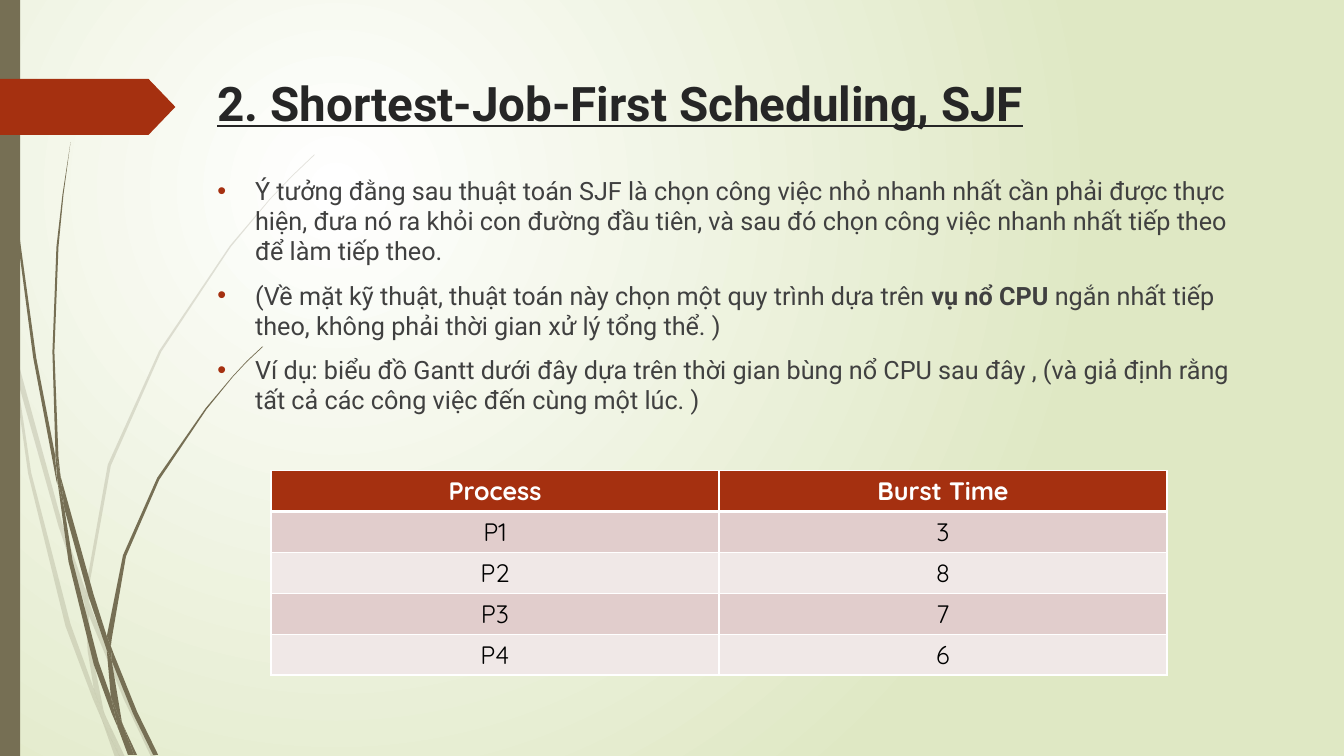
from itertools import product

from lxml.etree import SubElement
from pptx import Presentation
from pptx.dml.color import RGBColor
from pptx.enum.shapes import MSO_SHAPE
from pptx.enum.text import MSO_ANCHOR, PP_ALIGN
from pptx.oxml.ns import qn
from pptx.util import Cm, Pt

TITLE = "2. Shortest-Job-First Scheduling, SJF"
BULLETS = [
    [("Ý tưởng đằng sau thuật toán SJF là chọn công việc nhỏ nhanh nhất cần phải được thực "
      "hiện, đưa nó ra khỏi con đường đầu tiên, và sau đó chọn công việc nhanh nhất tiếp theo "
      "để làm tiếp theo.", False)],
    [("(Về mặt kỹ thuật, thuật toán này chọn một quy trình dựa trên ", False),
     ("vụ nổ CPU ", True),
     ("ngắn nhất tiếp theo, không phải thời gian xử lý tổng thể. )", False)],
    [("Ví dụ: biểu đồ Gantt dưới đây dựa trên thời gian bùng nổ CPU sau đây , (và giả định rằng "
      "tất cả các công việc đến cùng một lúc. )", False)],
]
BURST_TIMES = [("Process", "Burst Time"), ("P1", "3"), ("P2", "8"), ("P3", "7"), ("P4", "6")]

# Outlines of the grass blades: x,y corners in units of GRID
GRID = Cm(0.0254)
PALE_GRASS = [
    "11,350 9,322 0,282 0,299 10,344",
    "58,522 84,599 85,586 62,520 14,345 17,376",
    "92,607 88,596 88,610 123,694 150,751 155,751 127,692",
    "119,751 124,751 105,711",
    "93,683 70,619 31,469 17,376 11,350 28,470 65,621 92,693 101,714 99,707",
    "84,599 87,646 93,683 96,692 105,711 103,706 91,646 88,610 88,608",
    "88,584 110,462 160,349 229,245 268,198 290,175 312,154 312,153 289,175 268,197 228,244 "
    "158,348 107,461 85,584 85,586 88,596",
    "101,714 114,751 119,751",
    "88,608 88,610 88,596 85,586 84,599",
    "96,692 93,683 99,707 101,714 119,751 105,711",
]
DARK_GRASS = [
    "7,110 17,233 33,355 56,477 57,481 55,457 55,453 36,355 19,232 8,109 5,48 4,0 3,0 4,48",
    "88,592 106,645 106,633 106,631 93,590 60,472 64,505",
    "113,649 110,641 111,656 132,708 152,749 157,749 136,706",
    "110,691 98,657 72,556 64,505 57,477 68,557 93,659 111,708 117,722 116,717",
    "60,472 58,453 54,349 58,245 63,193 70,141 62,193 56,245 52,349 55,449",
    "133,749 136,749 122,719",
    "57,477 64,505 60,472 55,449 55,453",
    "111,633 125,552 158,476 205,406 231,374 245,359 261,344 260,344 245,358 231,373 204,405 "
    "156,474 122,551 106,631 110,641",
    "117,722 127,749 131,749",
    "106,645 110,691 116,706 122,719 121,716 111,656 109,651",
    "106,645 109,651 111,656 110,641 106,631 106,633",
    "116,706 110,691 116,717 117,722 130,749 133,749 122,719",
]

WHITE = RGBColor(0xFF, 0xFF, 0xFF)
BLACK = RGBColor(0x00, 0x00, 0x00)
SAGE = RGBColor(0xDF, 0xE8, 0xC4)
OLIVE = RGBColor(0x76, 0x6F, 0x54)
RUST = RGBColor(0xA5, 0x30, 0x10)
TITLE_GREY = RGBColor(0x26, 0x26, 0x26)
BODY_GREY = RGBColor(0x40, 0x40, 0x40)
ROW_TINTS = [RGBColor(0xF0, 0xE8, 0xE7), RGBColor(0xE1, 0xCD, 0xCC)]


def paint(shape, color):
    shape.shadow.inherit = False
    shape.fill.solid()
    shape.fill.fore_color.rgb = color
    shape.line.fill.background()


def add_grass(blades, opacity):
    tuft = slide.shapes.add_group_shape()
    for blade in blades:
        outline = [tuple(map(int, pair.split(","))) for pair in blade.split()]
        builder = tuft.shapes.build_freeform(*outline[0], scale=GRID)
        builder.add_line_segments(outline[1:], close=True)
        shape = builder.convert_to_shape()
        paint(shape, OLIVE)
        if opacity < 100:
            color = shape.fill._xPr.find(qn("a:solidFill"))[0]
            SubElement(color, qn("a:alpha"), val=str(opacity * 1000))


def add_frame(left, top, width, height):
    frame = slide.shapes.add_textbox(Cm(left), Cm(top), Cm(width), Cm(height)).text_frame
    frame.word_wrap = True
    frame.vertical_anchor = MSO_ANCHOR.TOP
    return frame


def add_run(paragraph, text, font, size, color, bold=False):
    run = paragraph.add_run()
    run.text = text
    run.font.name, run.font.size, run.font.bold = font, Pt(size), bold
    run.font.color.rgb = color
    return run


def add_bullet(paragraph):
    properties = paragraph._p.get_or_add_pPr()
    properties.set("marL", str(Cm(0.95)))
    properties.set("indent", str(-Cm(0.95)))
    SubElement(SubElement(properties, qn("a:buClr")), qn("a:srgbClr"), val=str(RUST))
    SubElement(properties, qn("a:buFont"), typeface="Arial")
    SubElement(properties, qn("a:buChar"), char="•")


def add_borders(cell, bottom_width):
    properties = cell._tc.get_or_add_tcPr()
    sides = [("a:lnL", 1), ("a:lnR", 1), ("a:lnT", 1), ("a:lnB", bottom_width)]
    for position, (side, width) in enumerate(sides):
        border = SubElement(properties, qn(side), w=str(Pt(width)))
        SubElement(SubElement(border, qn("a:solidFill")), qn("a:srgbClr"), val=str(WHITE))
        properties.insert(position, border)


presentation = Presentation()
presentation.slide_width, presentation.slide_height = Cm(33.87), Cm(19.05)
slide = presentation.slides.add_slide(presentation.slide_layouts[6])

backdrop = slide.background.fill
backdrop.gradient()
for stop, color in zip(backdrop.gradient_stops, (WHITE, SAGE)):
    stop.color.rgb = color
linear = slide._element.find(".//" + qn("a:lin"))
gradient = linear.getparent()
gradient.remove(linear)
glow = SubElement(gradient, qn("a:path"), path="circle")
SubElement(glow, qn("a:fillToRect"), l="50000", t="50000", r="100000", b="100000")

add_grass(PALE_GRASS, 20)
add_grass(DARK_GRASS, 100)
side_bar = slide.shapes.add_shape(MSO_SHAPE.RECTANGLE, 0, 0, Cm(0.51), Cm(19.05))
paint(side_bar, OLIVE)
tag = slide.shapes.add_shape(MSO_SHAPE.PENTAGON, 0, Cm(1.99), Cm(4.42), Cm(1.41))
tag.adjustments[0] = 0.48
paint(tag, RUST)

title = add_frame(5.23, 1.73, 26.72, 3.56).paragraphs[0]
add_run(title, TITLE, "Roboto", 34, TITLE_GREY, True).font.underline = True

body = add_frame(5.23, 4.29, 26.72, 13.41)
for number, runs in enumerate(BULLETS):
    paragraph = body.add_paragraph() if number else body.paragraphs[0]
    paragraph.space_before = Pt(10)
    add_bullet(paragraph)
    for text, bold in runs:
        add_run(paragraph, text, "Roboto", 18, BODY_GREY, bold)

row_count, column_count = len(BURST_TIMES), len(BURST_TIMES[0])
table = slide.shapes.add_table(
    row_count, column_count, Cm(6.83), Cm(11.86), Cm(22.58), Cm(5.15)).table
for row, column in product(range(row_count), range(column_count)):
    header = row == 0
    cell = table.cell(row, column)
    cell.fill.solid()
    cell.fill.fore_color.rgb = RUST if header else ROW_TINTS[row % 2]
    add_borders(cell, 3 if header else 1)
    entry = cell.text_frame.paragraphs[0]
    entry.alignment = PP_ALIGN.CENTER
    add_run(entry, BURST_TIMES[row][column], "Quicksand", 18, WHITE if header else BLACK, header)

presentation.save("out.pptx")
